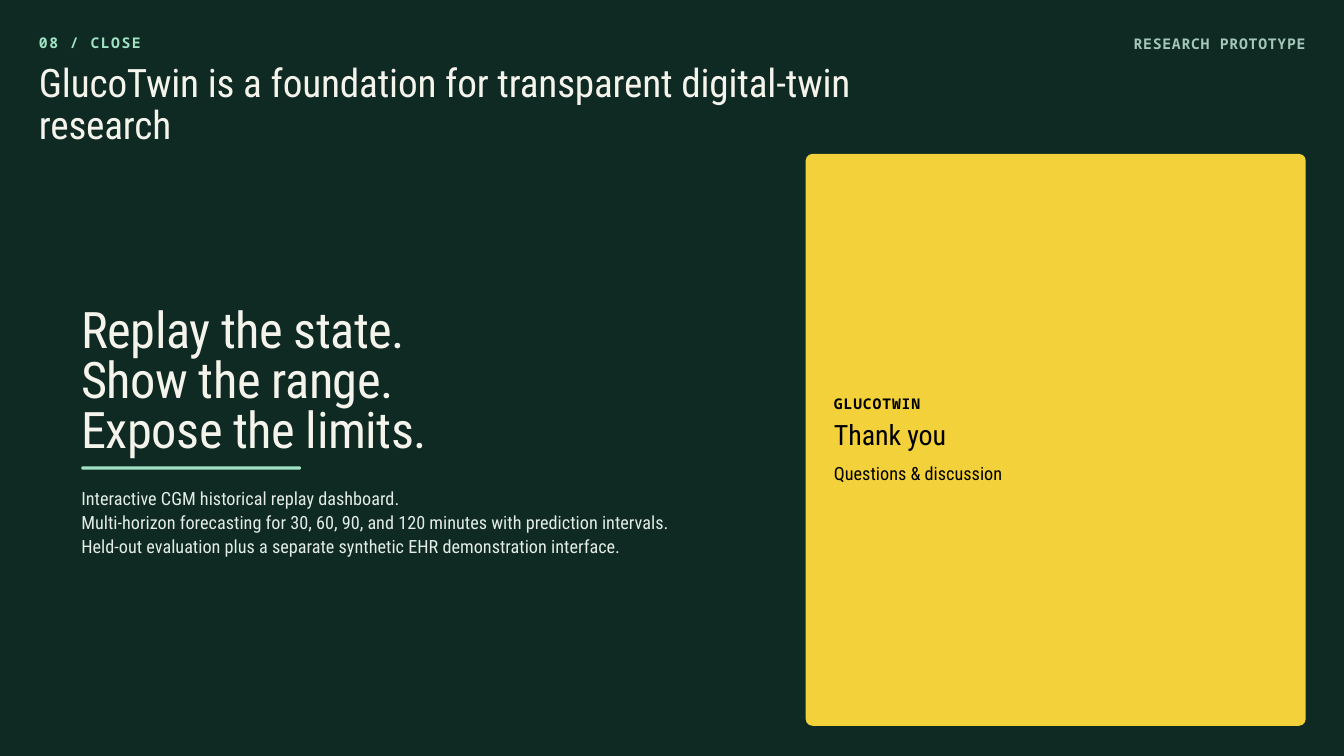
from pptx import Presentation
from pptx.dml.color import RGBColor
from pptx.enum.shapes import MSO_SHAPE
from pptx.enum.text import MSO_ANCHOR, MSO_AUTO_SIZE, PP_ALIGN
from pptx.util import Inches, Pt

ROUNDED = MSO_SHAPE.ROUNDED_RECTANGLE
TOP = MSO_ANCHOR.TOP
NO_AUTOFIT = MSO_AUTO_SIZE.NONE
LEFT = PP_ALIGN.LEFT

DARK_GREEN = RGBColor(0x0F, 0x2A, 0x22)
MINT = RGBColor(0x9F, 0xE3, 0xC4)
SAGE = RGBColor(0xA3, 0xC7, 0xB8)
CREAM = RGBColor(0xF4, 0xF3, 0xEC)
PALE = RGBColor(0xE3, 0xEC, 0xE7)
YELLOW = RGBColor(0xF2, 0xD1, 0x3A)
BLACK = RGBColor(0, 0, 0)

SANS = "Roboto Condensed"
MONO = "Noto Sans Mono"

MARGIN = 0.58
BODY_X = 1.21
BODY_W = 9.91
CARD_X = 11.99
CARD_W = 7.44
CARD_TEXT_X = 12.41
CARD_TEXT_W = 6.61


class Deck:
    def __init__(self, prs):
        self.prs = prs
        self.s = None

    def add_slide(self, background):
        self.s = self.prs.slides.add_slide(self.prs.slide_layouts[5])
        fill = self.s.background.fill
        fill.solid()
        fill.fore_color.rgb = background

    def format_text(self, sp, lines, size, color, leading, font, spacing, bold=False, wrap=True):
        tf = sp.text_frame
        tf.text = "\n".join(lines)
        tf.word_wrap = wrap
        tf.auto_size = NO_AUTOFIT
        tf.vertical_anchor = TOP
        tf.margin_left = tf.margin_right = tf.margin_top = tf.margin_bottom = 0
        for p in tf.paragraphs:
            p.alignment = LEFT
            p.line_spacing = Pt(leading)
            p.space_before = Pt(0)
            for r in p.runs:
                r.font.name = font
                r.font.size = Pt(size)
                r.font.bold = bold
                r.font.color.rgb = color
                if spacing:
                    r._r.get_or_add_rPr().set("spc", str(round(spacing * 100)))

    def title(self, x, y, w, h, text, size, color, leading, spacing=0):
        sp = self.s.shapes.title
        sp.left, sp.top, sp.width, sp.height = map(Inches, (x, y, w, h))
        self.format_text(sp, [text], size, color, leading, SANS, spacing)

    def text(self, x, y, w, h, lines, size, color, leading, spacing=0):
        sp = self.s.shapes.add_textbox(*map(Inches, (x, y, w, h)))
        self.format_text(sp, lines, size, color, leading, SANS, spacing)

    def label(self, x, y, w, h, text, color, spacing, leading=18.9):
        sp = self.s.shapes.add_textbox(*map(Inches, (x, y, w, h)))
        self.format_text(sp, [text], 15.8, color, leading, MONO, spacing, bold=True, wrap=False)

    def rounded_box(self, x, y, w, h, radius, color):
        sp = self.s.shapes.add_shape(ROUNDED, *map(Inches, (x, y, w, h)))
        sp.adjustments[0] = radius / min(w, h)
        sp.shadow.inherit = False
        sp.fill.solid()
        sp.fill.fore_color.rgb = color
        sp.line.fill.background()


def main():
    prs = Presentation()
    prs.slide_width = Inches(20)
    prs.slide_height = Inches(11.25)

    deck = Deck(prs)
    deck.add_slide(DARK_GREEN)

    deck.label(MARGIN, 0.51, 13.82, 0.26, "08 / CLOSE", MINT, 1.6)
    deck.title(MARGIN, 0.93, 13.82, 1.21,
               "GlucoTwin is a foundation for transparent digital-twin research",
               42, CREAM, 45.4, -0.2)
    deck.label(16.87, 0.5, 2.56, 0.28, "RESEARCH PROTOTYPE", SAGE, 0.8, 19.7)

    deck.text(BODY_X, 4.59, BODY_W, 2.14,
              ["Replay the state.", "Show the range.", "Expose the limits."],
              54, CREAM, 53.8, -0.5)
    deck.rounded_box(BODY_X, 6.94, 3.27, 0.05, 0.025, MINT)
    deck.text(BODY_X, 7.23, BODY_W, 1.45, [
        "Interactive CGM historical replay dashboard.",
        "Multi-horizon forecasting for 30, 60, 90, and 120 minutes with prediction intervals.",
        "Held-out evaluation plus a separate synthetic EHR demonstration interface.",
    ], 19.5, PALE, 25.3)

    deck.rounded_box(CARD_X, 2.29, CARD_W, 8.51, 0.1, YELLOW)
    deck.label(CARD_TEXT_X, 5.87, CARD_TEXT_W, 0.26, "GLUCOTWIN", BLACK, 0.9)
    deck.text(CARD_TEXT_X, 6.27, CARD_TEXT_W, 0.42, ["Thank you"], 30, BLACK, 32.4, -0.1)
    deck.text(CARD_TEXT_X, 6.85, CARD_TEXT_W, 0.37, ["Questions & discussion"],
              19.5, BLACK, 25.3)

    prs.save("out.pptx")


if __name__ == "__main__":
    main()
